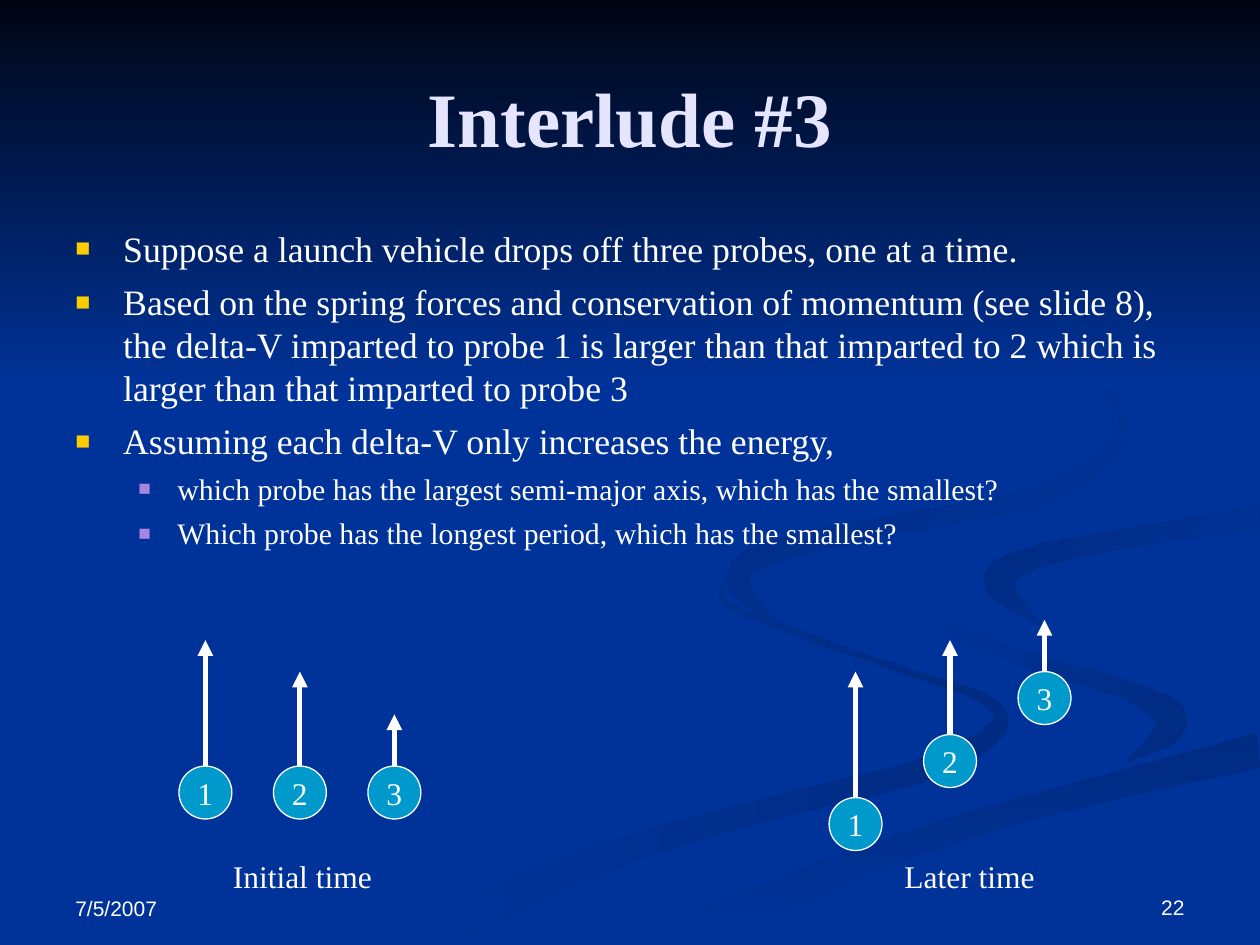
import math
import pptx
import pptx.util
import pptx.dml.color
import pptx.enum.shapes
import pptx.enum.text
import pptx.oxml.ns
from dataclasses import dataclass

Inches, Pt = pptx.util.Inches, pptx.util.Pt
Shape = pptx.enum.shapes.MSO_SHAPE
Anchor = pptx.enum.text.MSO_ANCHOR
Align = pptx.enum.text.PP_ALIGN

WIDE, HIGH = 10, 7.5


@dataclass
class Theme:
    back: str = "003399"
    night: str = "000514"
    shade: str = "002B82"
    white: str = "FFFFFF"
    title: str = "E5E5FF"
    ball: str = "0099CC"
    gold: str = "FFCC00"
    lilac: str = "A886E0"
    serif: str = "Times New Roman"
    sans: str = "Arial"
    head: float = 44
    body: float = 20.4
    sub: float = 17
    label: float = 18
    foot: float = 12


theme = Theme()

# Each ribbon: first colour, last colour, angle, and bends of (x, y, breadth)
RIBBONS = {
    "left loop": (theme.back, theme.shade, 0, [
        (5.75, 4.6, 0), (5.78, 4.8, 0.04), (6.4, 5.05, 0.05), (7.2, 5.33, 0.05),
        (7.83, 5.56, 0.08), (7.9, 5.8, 0.14), (7.3, 6.12, 0.18),
        (5.9, 6.47, 0.18), (4.6, 6.88, 0.24), (3.3, 7.49, 0.3)]),
    "right loop": (theme.back, theme.shade, 45, [
        (7.24, 4.64, 0), (7.42, 4.9, 0.08), (8.1, 5.22, 0.12),
        (8.95, 5.48, 0.15), (9.3, 5.74, 0.24), (8.94, 6.05, 0)]),
    "broad sweep": (theme.shade, theme.back, 90, [
        (10, 5.95, 0.28), (8.6, 6.3, 0.2), (7.6, 6.58, 0.2),
        (6.5, 6.97, 0.23), (5.37, 7.49, 0.3)]),
    "right hook": (theme.shade, theme.back, 45, [
        (10, 4.11, 0.18), (8.9, 4.28, 0.15), (8.2, 4.43, 0.18),
        (7.93, 4.63, 0.23), (8.26, 4.96, 0)]),
    "high curl": (theme.shade, theme.back, 45, [
        (7.62, 2.33, 0), (8.4, 2.75, 0.03), (8.9, 3.3, 0.05), (8.65, 3.74, 0.13),
        (8, 4, 0.15), (7, 4.18, 0.15), (6.1, 4.39, 0.18), (5.86, 4.63, 0.16),
        (6.22, 5, 0)]),
}

BODY = [
    (0, "Suppose a launch vehicle drops off three probes, one at a time."),
    (0, "Based on the spring forces and conservation of momentum (see slide 8), "
        "the delta-V imparted to probe 1 is larger than that imparted to 2 which is "
        "larger than that imparted to probe 3"),
    (0, "Assuming each delta-V only increases the energy,"),
    (1, "which probe has the largest semi-major axis, which has the smallest?"),
    (1, "Which probe has the longest period, which has the smallest?"),
]


def color(code):
    return pptx.dml.color.RGBColor.from_string(code)


def style(para, size, tint=theme.white, face=theme.serif, bold=False):
    font = para.font
    font.size, font.name, font.bold = Pt(size), face, bold
    font.color.rgb = color(tint)


def add_node(node, tag, **attrs):
    child = node.makeelement(pptx.oxml.ns.qn(tag), attrs)
    node.append(child)
    return child


def frame(slide, box, anchor=Anchor.TOP):
    text = slide.shapes.add_textbox(*map(Inches, box)).text_frame
    text.word_wrap = True
    text.vertical_anchor = anchor
    return text


def label(slide, box, words, size, anchor=Anchor.TOP, align=Align.LEFT, **look):
    para = frame(slide, box, anchor).paragraphs[0]
    para.text, para.alignment = words, align
    style(para, size, **look)


def smooth(bends, steps=10):
    """Run a Catmull-Rom curve through the bends."""
    ends = [bends[0], *bends, bends[-1]]
    curve = []
    for a, b, c, d in zip(ends, ends[1:], ends[2:], ends[3:]):
        for i in range(steps):
            t = i / steps
            curve.append(tuple(
                q + t / 2 * (r - p + t * (2*p - 5*q + 4*r - s + t * (3*(q - r) + s - p)))
                for p, q, r, s in zip(a, b, c, d)))
    return curve + [bends[-1]]


def outline(bends):
    """Step half the breadth to each side of the curve, within the slide."""
    curve = smooth(bends)
    sides = [], []
    for i, (x, y, broad) in enumerate(curve):
        start, stop = curve[max(i - 1, 0)], curve[min(i + 1, len(curve) - 1)]
        turn = math.atan2(stop[1] - start[1], stop[0] - start[0])
        half = max(broad, 0) / 2
        for side, sign in zip(sides, (1, -1)):
            side.append((min(x - sign * half * math.sin(turn), WIDE),
                         min(y + sign * half * math.cos(turn), HIGH)))
    return sides[0] + sides[1][::-1]


def blend(shape, first, last, angle):
    shape.shadow.inherit = False
    shape.line.fill.background()
    shape.fill.gradient()
    shape.fill.gradient_angle = -angle % 360
    for stop, tint in zip(shape.fill.gradient_stops, (first, last)):
        stop.color.rgb = color(tint)


def ribbon(slide, left, top, first, last, angle, bends):
    dots = [(x * 100, y * 100) for x, y in outline(bends)]
    pen = slide.shapes.build_freeform(*dots[0], scale=Inches(0.01))
    pen.add_line_segments(dots[1:], close=True)
    blend(pen.convert_to_shape(Inches(left), Inches(top)), first, last, angle)


def backdrop(slide, left, top):
    fill = slide.background.fill
    fill.solid()
    fill.fore_color.rgb = color(theme.back)
    for look in RIBBONS.values():
        ribbon(slide, left, top, *look)
    sky = slide.shapes.add_shape(
        Shape.RECTANGLE, *map(Inches, (left, top, WIDE, 3.08)))
    blend(sky, theme.night, theme.back, 90)


def bullets(slide, box):
    text = frame(slide, box)
    looks = [(0.38, 0.38, 6, theme.gold, theme.body),
             (0.81, 0.31, 5, theme.lilac, theme.sub)]
    for i, (level, words) in enumerate(BODY):
        para = text.add_paragraph() if i else text.paragraphs[0]
        indent, hang, gap, tint, size = looks[level]
        para.text, para.level = words, level
        props = para._p.get_or_add_pPr()
        props.set("marL", str(Inches(indent)))
        props.set("indent", str(-Inches(hang)))
        add_node(add_node(props, "a:buClr"), "a:srgbClr", val=tint)
        add_node(props, "a:buSzPct", val="70000")
        add_node(props, "a:buFont", typeface=theme.sans)
        add_node(props, "a:buChar", char="■")
        para.space_before = Pt(gap if i else 0)
        style(para, size)


def probe(slide, left, top, name, reach):
    size = 0.42
    ball = slide.shapes.add_shape(Shape.OVAL, *map(Inches, (left, top, size, size)))
    ball.shadow.inherit = False
    ball.fill.solid()
    ball.fill.fore_color.rgb = color(theme.ball)
    ball.line.color.rgb = color(theme.white)
    ball.line.width = Pt(0.75)
    text = ball.text_frame
    text.word_wrap = False
    text.vertical_anchor = Anchor.MIDDLE
    para = text.paragraphs[0]
    para.text, para.alignment = name, Align.CENTER
    style(para, theme.label)

    # Velocity arrow
    mid = left + size / 2
    arrow = slide.shapes.add_connector(
        pptx.enum.shapes.MSO_CONNECTOR.STRAIGHT,
        *map(Inches, (mid, top, mid, top - reach)))
    arrow.line.color.rgb = color(theme.white)
    arrow.line.width = Pt(3)
    add_node(arrow.line._get_or_add_ln(), "a:tailEnd", type="triangle")
    add_node(arrow._element.spPr, "a:effectLst")


def probes(slide, left, top, rise, words, shift):
    for i, reach in enumerate((1, 0.75, 0.41)):
        probe(slide, left + 0.75 * i, top - rise * i, str(i + 1), reach)
    label(slide, (left + shift, 6.75, 1.67, 0.4), words, theme.label)


def main():
    deck = pptx.Presentation()
    deck.slide_width, deck.slide_height = Inches(WIDE), Inches(HIGH)
    slide = deck.slides.add_slide(deck.slide_layouts[6])
    backdrop(slide, 0, 0)
    # Footer
    label(slide, (0.5, 6.84, 2.33, 0.52), "7/5/2007", theme.foot,
          Anchor.BOTTOM, face=theme.sans)
    label(slide, (7.17, 6.83, 2.33, 0.52), "22", theme.foot,
          Anchor.BOTTOM, Align.RIGHT, face=theme.sans)
    # Title and text
    label(slide, (0.5, 0.3, 9, 1.25), "Interlude #3", theme.head,
          Anchor.MIDDLE, Align.CENTER, tint=theme.title, bold=True)
    bullets(slide, (0.5, 1.75, 9, 3.08))
    # Probes at the two times
    probes(slide, 1.42, 6.08, 0, "Initial time", 0.33)
    probes(slide, 6.58, 6.33, 0.5, "Later time", 0.5)
    deck.save("out.pptx")


if __name__ == "__main__":
    main()
